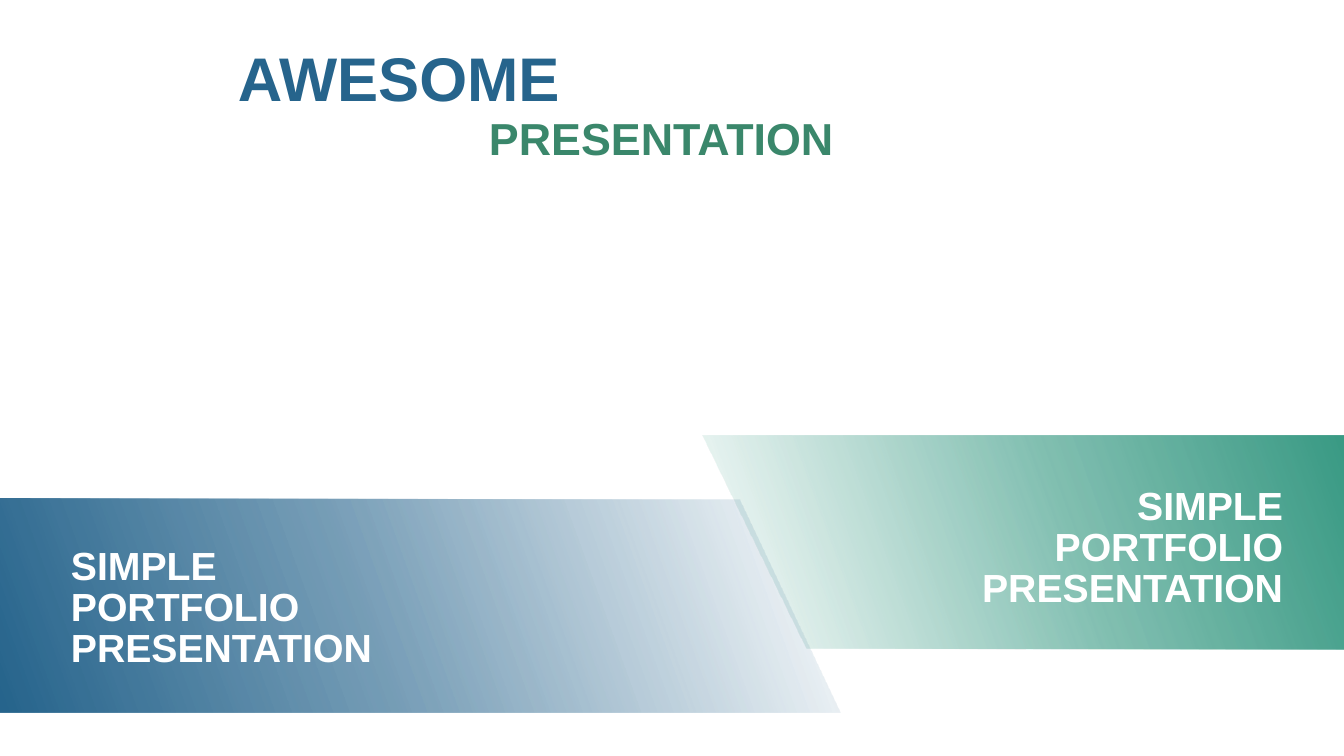
import pptx
import pptx.dml.color
import pptx.enum.text
import pptx.oxml
import pptx.oxml.ns
import pptx.util

RGBColor = pptx.dml.color.RGBColor
Align = pptx.enum.text.PP_ALIGN

PX = 914400 / 100.8
BLUE = RGBColor(0x26, 0x64, 0x8C)
TEAL = RGBColor(0x39, 0x9A, 0x84)
GREEN = RGBColor(0x3A, 0x87, 0x6B)
WHITE = RGBColor(0xFF, 0xFF, 0xFF)

FADE_STOPS = ((0, 0), (54, 60), (100, 100))  # position and opacity, percent
CAPTION_LINES = (("SIMPLE", 172), ("PORTFOLIO", 252), ("PRESENTATION", 315))
LINE_HEIGHT = 36
LINE_PITCH = 41


def px(length):
    return pptx.util.Emu(round(length * PX))


def add_text(page, box, text, size, color, align, side_insets):
    label = page.shapes.add_textbox(*map(px, box))
    frame = label.text_frame
    frame.word_wrap = True
    frame.vertical_anchor = pptx.enum.text.MSO_ANCHOR.MIDDLE
    frame.margin_left, frame.margin_right = map(px, side_insets)
    frame.margin_top = frame.margin_bottom = px(5)
    para = frame.paragraphs[0]
    para.alignment = align
    span = para.add_run()
    span.text = text
    span.font.name = "Arial"
    span.font.size = pptx.util.Pt(size)
    span.font.bold = True
    span.font.color.rgb = color


def fade(shape, color, angle):
    """Fill with one colour going from clear to solid along a counter-clockwise angle."""
    shape.fill.gradient()
    shape.fill.gradient_angle = angle
    stops = shape.fill._fill._gradFill.find(pptx.oxml.ns.qn("a:gsLst"))
    for stop in list(stops):
        stops.remove(stop)
    for position, opacity in FADE_STOPS:
        stops.append(pptx.oxml.parse_xml(
            f'<a:gs {pptx.oxml.ns.nsdecls("a")} pos="{position * 1000}">'
            f'<a:srgbClr val="{color}"><a:alpha val="{opacity * 1000}"/></a:srgbClr></a:gs>'))


def add_band(page, left, top, corners, color, angle):
    builder = page.shapes.build_freeform(*corners[0], scale=PX)
    builder.add_line_segments(corners[1:], close=True)
    band = builder.convert_to_shape(px(left), px(top))
    band.shadow.inherit = False
    band.line.fill.background()
    fade(band, color, angle)


def add_caption(page, edge, top, align):
    """Stack the caption lines against their left or right edge."""
    for row, (text, width) in enumerate(CAPTION_LINES):
        left = edge - width if align == Align.RIGHT else edge
        box = (left, top + row * LINE_PITCH, width, LINE_HEIGHT)
        add_text(page, box, text, 28, WHITE, align, (0, 10))


def add_title(page, left, top):
    for text, size, color, dx, dy, height in (
        ("AWESOME", 44, BLUE, 0, 0, 85),
        ("PRESENTATION", 32, GREEN, 251, 71, 65),
    ):
        box = (left + dx, top + dy, 463, height)
        add_text(page, box, text, size, color, Align.JUSTIFY, (10, 10))


def main():
    deck = pptx.Presentation()
    deck.slide_width, deck.slide_height = px(1344), px(756)
    page = deck.slides.add_slide(deck.slide_layouts[6])
    add_band(page, 703, 436, ((644, 0), (0, 0), (104, 213), (644, 214)), TEAL, 20)
    add_band(page, 0, 499, ((0, 0), (739, 1), (840, 214), (0, 214)), BLUE, 200)
    add_caption(page, 71, 547, Align.LEFT)
    add_caption(page, 1293, 487, Align.RIGHT)
    add_title(page, 228, 34)
    deck.save("out.pptx")


if __name__ == "__main__":
    main()
